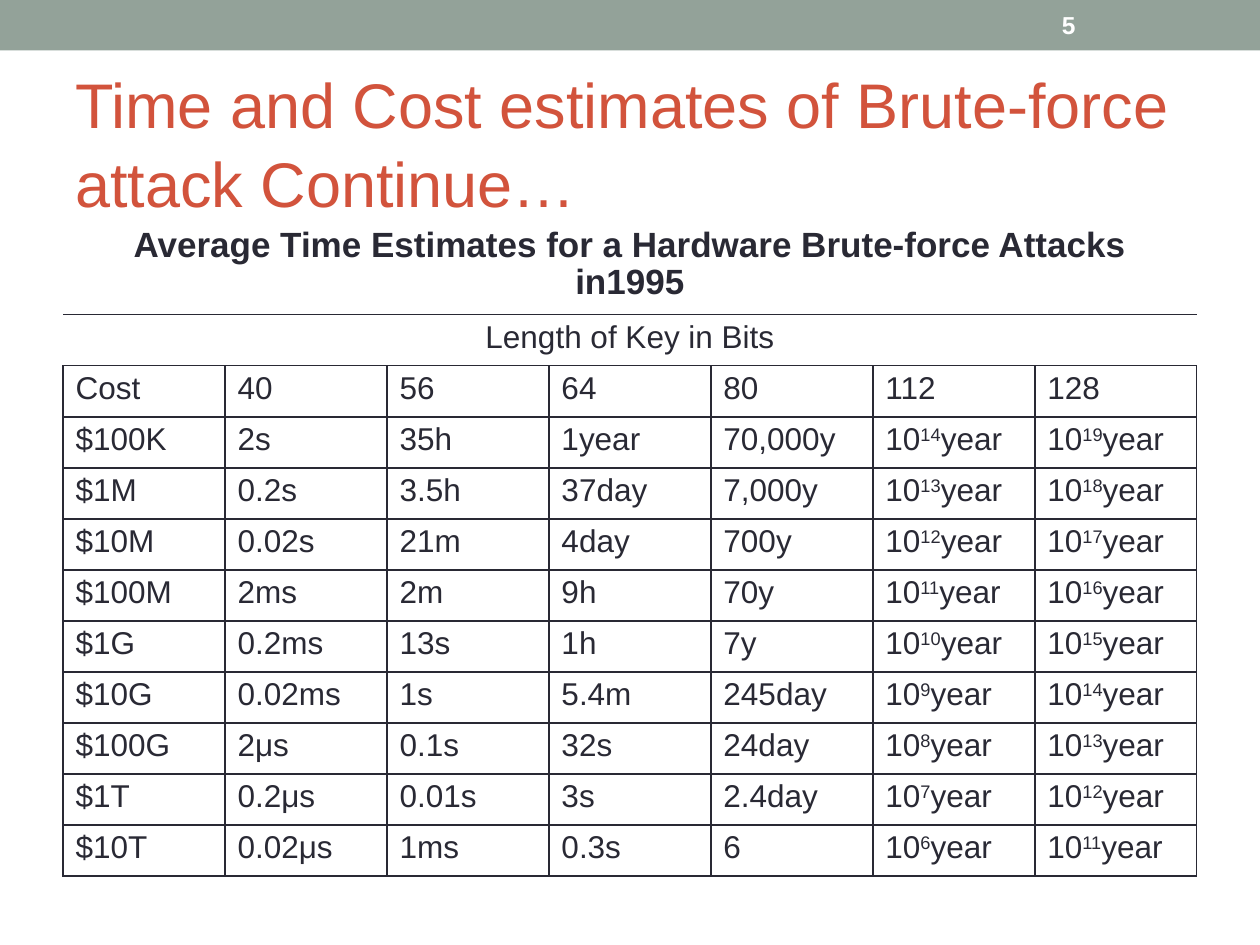
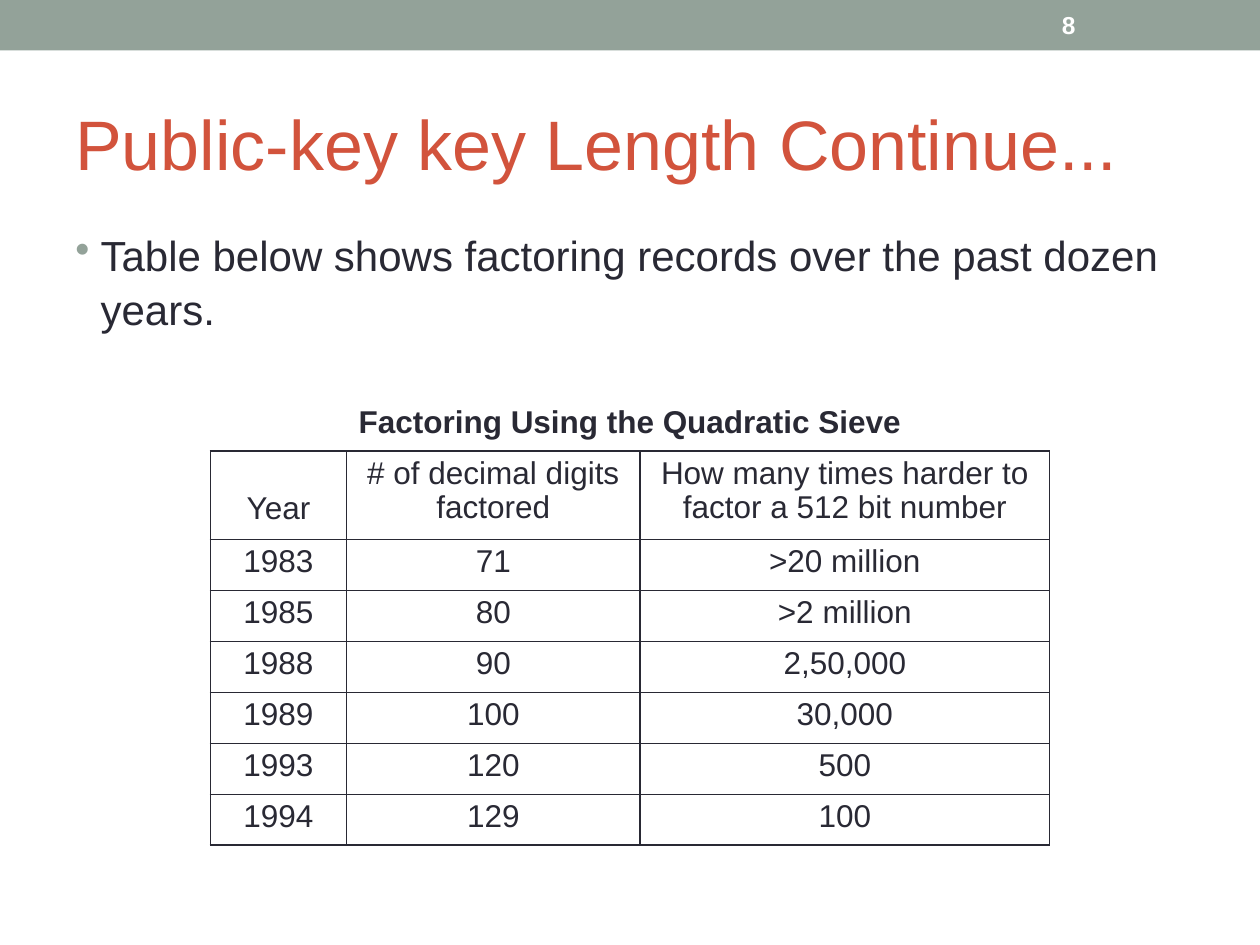
from lxml.etree import SubElement
from pptx import Presentation
from pptx.dml.color import RGBColor
from pptx.enum.shapes import MSO_SHAPE
from pptx.enum.text import MSO_ANCHOR, PP_ALIGN
from pptx.oxml.ns import qn
from pptx.util import Inches, Pt

SAGE = RGBColor(0x93, 0xA2, 0x99)
RUST = RGBColor(0xD2, 0x53, 0x3C)
INK = RGBColor(0x29, 0x29, 0x34)
WHITE = RGBColor(0xFF, 0xFF, 0xFF)
FONT = "Arial"

TITLE_BOX = (0.5, 0.58, 9, 1.08)
BODY_BOX = (0.5, 1.75, 9, 1.2)
NUMBER_BOX = (8.33, 0.02, 1.17, 0.36)

TITLE = {"size": Pt(36), "bold": False, "color": RUST}
BIG_TITLE = {**TITLE, "size": Pt(40)}
BODY = {"size": Pt(24), "bold": False, "color": INK}
NUMBER = {"size": Pt(14), "bold": True, "color": WHITE}
CELL = {"size": Pt(18), "bold": False, "color": INK}
CAPTION = {**CELL, "bold": True}
BIG_CAPTION = {**CAPTION, "size": Pt(20)}

COSTS = ["$100K", "$1M", "$10M", "$100M", "$1G", "$10G", "$100G", "$1T", "$10T"]
TIMES = {
    "40": ["2s", "0.2s", "0.02s", "2ms", "0.2ms", "0.02ms", "2μs", "0.2μs", "0.02μs"],
    "56": ["35h", "3.5h", "21m", "2m", "13s", "1s", "0.1s", "0.01s", "1ms"],
    "64": ["1year", "37day", "4day", "9h", "1h", "5.4m", "32s", "3s", "0.3s"],
    "80": ["70,000y", "7,000y", "700y", "70y", "7y", "245day", "24day", "2.4day", "6"],
}
# Years drop tenfold with each tenfold rise in cost
TOP_EXPONENTS = {"112": 14, "128": 19}

FACTORING = [
    ["Year", "# of decimal digits factored",
     "How many times harder to factor a 512 bit number"],
    ["1983", "71", ">20 million"],
    ["1985", "80", ">2 million"],
    ["1988", "90", "2,50,000"],
    ["1989", "100", "30,000"],
    ["1993", "120", "500"],
    ["1994", "129", "100"],
]


def add_run(p, text, style, superscript=False):
    r = p.add_run()
    r.text = text
    r.font.name = FONT
    for name, value in style.items():
        if name == "color":
            r.font.color.rgb = value
        else:
            setattr(r.font, name, value)
    if superscript:
        r._r.get_or_add_rPr().set("baseline", "30000")


def add_text(s, box, text, style, anchor=MSO_ANCHOR.MIDDLE, spacing=1.0):
    tf = s.shapes.add_textbox(*map(Inches, box)).text_frame
    tf.word_wrap = True
    tf.vertical_anchor = anchor
    p = tf.paragraphs[0]
    p.line_spacing = spacing
    add_run(p, text, style)
    return p


def add_bullet(p):
    pPr = p._p.get_or_add_pPr()
    pPr.set("marL", str(Inches(0.2)))
    pPr.set("indent", str(-Inches(0.2)))
    color = SubElement(pPr, qn("a:buClr"))
    SubElement(color, qn("a:srgbClr"), val=str(SAGE))
    SubElement(pPr, qn("a:buChar"), char="•")


def set_borders(cell, visible):
    """Draw the sides named in visible (from LRTB) and hide the others."""
    tcPr = cell._tc.get_or_add_tcPr()
    for side in "LRTB":
        ln = SubElement(tcPr, qn(f"a:ln{side}"), w=str(Pt(1)))
        if side in visible:
            fill = SubElement(ln, qn("a:solidFill"))
            SubElement(fill, qn("a:srgbClr"), val=str(INK))
        else:
            SubElement(ln, qn("a:noFill"))


def fill_cell(cell, text, style, align):
    """Write text, where ^digits^ marks a superscript."""
    p = cell.text_frame.paragraphs[0]
    p.alignment = align
    p.line_spacing = 0.97
    for i, part in enumerate(text.split("^")):
        add_run(p, part, style, superscript=i % 2 == 1)


def add_grid(s, left, top, widths, heights, captions, rows, align):
    """Table with full-width caption rows above a ruled grid."""
    table = s.shapes.add_table(
        len(heights), len(widths), Inches(left), Inches(top),
        Inches(sum(widths)), Inches(sum(heights))).table
    table.first_row = table.horz_banding = False
    for column, width in zip(table.columns, widths):
        column.width = Inches(width)
    for row, height in zip(table.rows, heights):
        row.height = Inches(height)

    # Borders and fills
    for i, row in enumerate(table.rows):
        sides = "LRTB" if i >= len(captions) else "TB" if i else "B"
        for cell in row.cells:
            set_borders(cell, sides)
            cell.fill.background()

    # Captions
    for i, (text, style) in enumerate(captions):
        table.cell(i, 0).merge(table.cell(i, len(widths) - 1))
        fill_cell(table.cell(i, 0), text, style, PP_ALIGN.CENTER)

    # Values
    for i, values in enumerate(rows, len(captions)):
        for j, text in enumerate(values):
            fill_cell(table.cell(i, j), text, CELL, align)
    return table


def add_base_slide(prs, number, title, style):
    s = prs.slides.add_slide(prs.slide_layouts[6])
    # Top band
    band = s.shapes.add_shape(MSO_SHAPE.RECTANGLE, 0, 0, prs.slide_width, Inches(0.4))
    band.shadow.inherit = False
    band.fill.solid()
    band.fill.fore_color.rgb = SAGE
    band.line.fill.background()
    # Title and slide number
    add_text(s, TITLE_BOX, title, style, spacing=1.04)
    add_text(s, NUMBER_BOX, str(number), NUMBER)
    return s


def brute_force_slide(prs):
    s = add_base_slide(
        prs, 5, "Time and Cost estimates of Brute-force attack Continue…", TITLE)
    columns = [["Cost", *COSTS]]
    columns += [[bits, *times] for bits, times in TIMES.items()]
    columns += [[bits, *(f"10^{top - i}^year" for i in range(len(COSTS)))]
                for bits, top in TOP_EXPONENTS.items()]
    captions = [
        ("Average Time Estimates for a Hardware Brute-force Attacks in1995", BIG_CAPTION),
        ("Length of Key in Bits", CELL),
    ]
    rows = list(zip(*columns))
    add_grid(s, 0.5, 1.75, [9 / len(columns)] * len(columns),
             [0.71] + [4.46 / 11] * (len(rows) + 1), captions, rows, PP_ALIGN.LEFT)


def factoring_slide(prs):
    s = add_base_slide(prs, 8, "Public-key key Length Continue...", BIG_TITLE)
    p = add_text(
        s, BODY_BOX, "Table below shows factoring records over the past dozen years.",
        BODY, MSO_ANCHOR.TOP, 1.06)
    add_bullet(p)
    table = add_grid(
        s, 1.67, 3.17, [1.08, 2.33, 3.25], [0.41, 0.7] + [2.43 / 6] * 6,
        [("Factoring Using the Quadratic Sieve", CAPTION)], FACTORING, PP_ALIGN.CENTER)
    # Year lines up with the second line of the other headings
    year = table.cell(1, 0)
    year.vertical_anchor = MSO_ANCHOR.BOTTOM
    year.margin_bottom = Inches(0.1)


def main():
    prs = Presentation()
    prs.slide_width, prs.slide_height = Inches(10), Inches(7.5)
    brute_force_slide(prs)
    factoring_slide(prs)
    prs.save("out.pptx")


if __name__ == "__main__":
    main()
